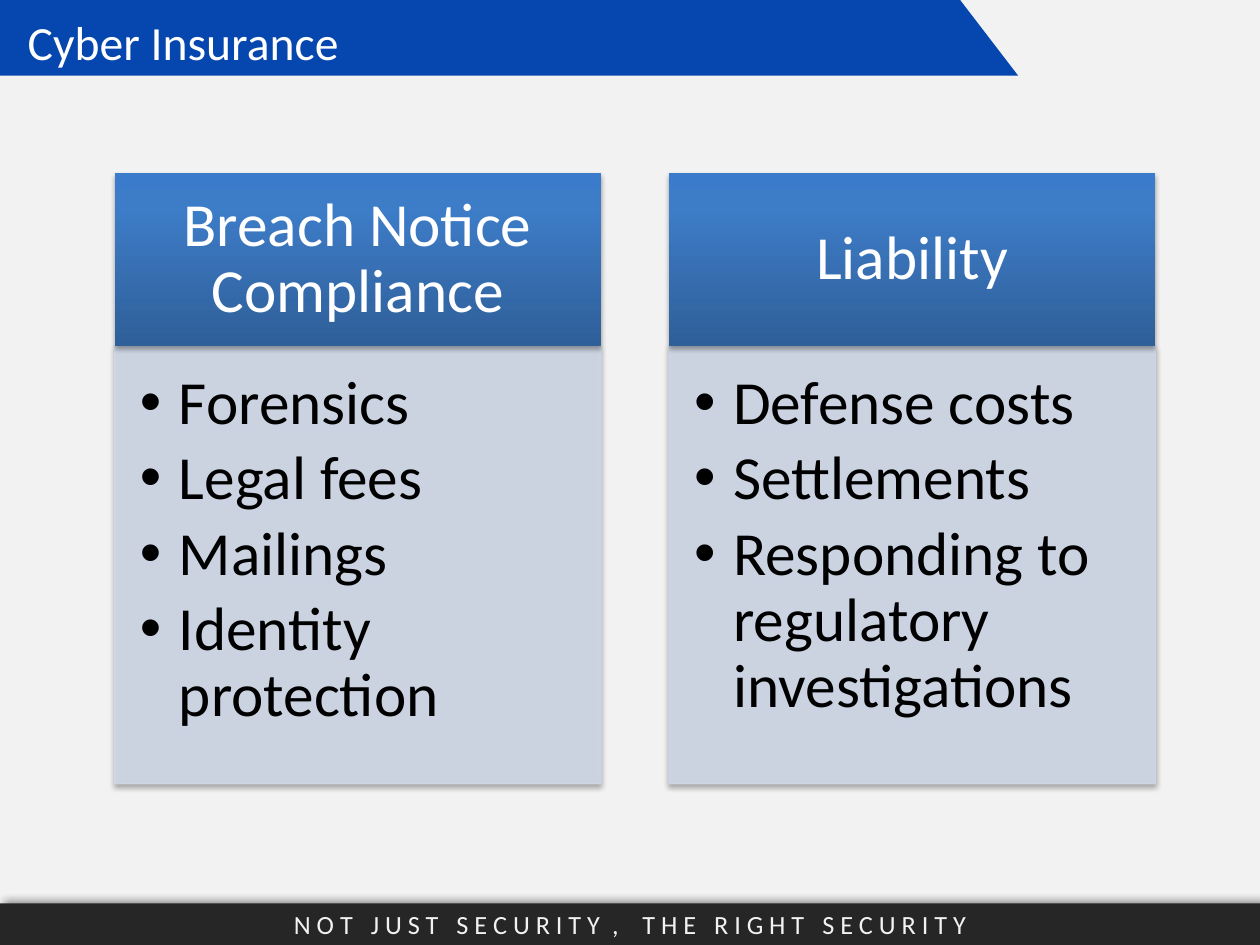
from pptx import Presentation
from pptx.dml.color import RGBColor
from pptx.enum.shapes import MSO_SHAPE
from pptx.enum.text import MSO_ANCHOR, MSO_AUTO_SIZE, PP_ALIGN
from pptx.oxml import parse_xml
from pptx.oxml.ns import nsdecls, qn
from pptx.util import Inches, Pt

FONT = "Calibri"
PALE_GRAY = RGBColor(0xF2, 0xF2, 0xF2)
CHARCOAL = RGBColor(0x26, 0x26, 0x26)
RIBBON_BLUE = RGBColor(0x05, 0x46, 0xAF)
PANEL_BLUE = RGBColor(0xD0, 0xD8, 0xE8)
WHITE = RGBColor(0xFF, 0xFF, 0xFF)
BLACK = RGBColor(0x00, 0x00, 0x00)
HEADER_STOPS = [
    (0, RGBColor(0x2F, 0x5F, 0x99)),
    (80, RGBColor(0x3D, 0x7C, 0xC7)),
    (100, RGBColor(0x3A, 0x7C, 0xCB)),
]

COLUMN_LEFT, COLUMN_STEP, COLUMN_WIDTH = 0.91, 4.4, 3.86
HEADER_TOP, HEADER_HEIGHT, PANEL_HEIGHT = 1.37, 1.38, 3.47
COLUMNS = [
    ("Breach Notice Compliance",
     ["Forensics", "Legal fees", "Mailings", "Identity protection"]),
    ("Liability",
     ["Defense costs", "Settlements", "Responding to regulatory investigations"]),
]
# Each word of the motto with the tracking in points of the space after it
MOTTO = [("N O T", 6.8), ("J U S T", 6.8), ("S E C U R I T Y", 3.4), (",", 10.2),
         ("T H E", 6.8), ("R I G H T", 6.8), ("S E C U R I T Y", 0)]


def style_font(font, size, color):
    font.name = FONT
    font.size = Pt(size)
    font.color.rgb = color


def place(shape, left, top, width, height):
    shape.left, shape.top = Inches(left), Inches(top)
    shape.width, shape.height = Inches(width), Inches(height)


def set_insets(frame, left, top, right, bottom):
    frame.margin_left, frame.margin_top = Inches(left), Inches(top)
    frame.margin_right, frame.margin_bottom = Inches(right), Inches(bottom)


def add_shadow(shape, opacity, blur, distance, angle):
    shape.shadow.inherit = False
    effects = shape._element.spPr.find(qn("a:effectLst"))
    effects.append(parse_xml(
        f'<a:outerShdw {nsdecls("a")} blurRad="{Pt(blur)}" dist="{Pt(distance)}" '
        f'dir="{angle * 60000}" algn="ctr" rotWithShape="0"><a:srgbClr val="000000">'
        f'<a:alpha val="{opacity * 1000}"/></a:srgbClr></a:outerShdw>'))


def set_opacity(shape, percent):
    """Apply one opacity to the solid fill and the line."""
    for color in shape._element.spPr.iter(qn("a:srgbClr")):
        color.append(parse_xml(f'<a:alpha {nsdecls("a")} val="{percent * 1000}"/>'))


def fill_gradient(shape, stops):
    """Fill from the bottom edge upwards."""
    shape.fill.gradient()
    gradient = shape._element.spPr.find(qn("a:gradFill"))
    stop_list = gradient.find(qn("a:gsLst"))
    for stop in list(stop_list):
        stop_list.remove(stop)
    for position, color in stops:
        stop_list.append(parse_xml(
            f'<a:gs {nsdecls("a")} pos="{position * 1000}">'
            f'<a:srgbClr val="{color}"/></a:gs>'))
    gradient.find(qn("a:lin")).set("ang", str(270 * 60000))


def add_rectangle(page, left, top, width, height):
    box = page.shapes.add_shape(MSO_SHAPE.RECTANGLE, Inches(left), Inches(top),
                                Inches(width), Inches(height))
    box.line.fill.background()
    box.text_frame.word_wrap = True
    box.text_frame.vertical_anchor = MSO_ANCHOR.MIDDLE
    return box


def add_ribbon(page):
    builder = page.shapes.build_freeform(Inches(7.62), 0)
    corners = [(0, 0), (0, 0.6), (8.08, 0.6)]
    builder.add_line_segments([(Inches(x), Inches(y)) for x, y in corners], close=True)
    ribbon = builder.convert_to_shape()
    ribbon.fill.solid()
    ribbon.fill.fore_color.rgb = RIBBON_BLUE
    ribbon.line.fill.background()
    ribbon.shadow.inherit = False
    # Keep the ribbon behind the title
    page.shapes._spTree.insert(2, ribbon._element)


def set_title(page, text):
    title = page.shapes.title
    place(title, 0.12, 0.05, 7.4, 0.46)
    frame = title.text_frame
    frame.text = text
    frame.auto_size = MSO_AUTO_SIZE.NONE
    frame.vertical_anchor = MSO_ANCHOR.TOP
    paragraph = frame.paragraphs[0]
    paragraph.alignment = PP_ALIGN.LEFT
    style_font(paragraph.font, 27.2, WHITE)


def add_footer(page):
    bar = add_rectangle(page, 0, 7.17, 10, 0.33)
    bar.fill.solid()
    bar.fill.fore_color.rgb = CHARCOAL
    add_shadow(bar, 40, 4, 3, 315)
    paragraph = bar.text_frame.paragraphs[0]
    paragraph.alignment = PP_ALIGN.CENTER
    for word, tracking in MOTTO:
        paragraph.add_run().text = word
        if tracking:
            gap = paragraph.add_run()
            gap.text = " "
            gap.font._element.set("spc", str(round(tracking * 100)))
    for span in paragraph.runs:
        style_font(span.font, 15, PALE_GRAY)


def add_header(page, left, text):
    header = add_rectangle(page, left, HEADER_TOP, COLUMN_WIDTH, HEADER_HEIGHT)
    fill_gradient(header, HEADER_STOPS)
    add_shadow(header, 35, 3.1, 1.8, 90)
    frame = header.text_frame
    set_insets(frame, 0.27, 0.16, 0.27, 0.16)
    frame.text = text
    paragraph = frame.paragraphs[0]
    paragraph.alignment = PP_ALIGN.CENTER
    paragraph.line_spacing = 0.9
    style_font(paragraph.font, 35, WHITE)


def fill_panel(panel, left, items):
    place(panel, left, HEADER_TOP + HEADER_HEIGHT, COLUMN_WIDTH, PANEL_HEIGHT)
    panel.fill.solid()
    panel.fill.fore_color.rgb = PANEL_BLUE
    panel.line.color.rgb = PANEL_BLUE
    panel.line.width = Pt(0.75)
    set_opacity(panel, 90)
    add_shadow(panel, 35, 3.1, 1.8, 90)

    frame = panel.text_frame
    frame.text = "\n".join(items)
    frame.auto_size = MSO_AUTO_SIZE.NONE
    set_insets(frame, 0.2, 0.2, 0.27, 0.31)
    for paragraph in frame.paragraphs:
        properties = paragraph._p.get_or_add_pPr()
        properties.set("marL", str(Inches(0.31)))
        properties.set("indent", str(-Inches(0.31)))
        properties.append(parse_xml(f'<a:buChar {nsdecls("a")} char="•"/>'))
        paragraph.line_spacing = 0.9
        paragraph.space_before = Pt(0)
        paragraph.space_after = Pt(5.25)
        style_font(paragraph.font, 35, BLACK)


def main():
    deck = Presentation()
    deck.slide_width, deck.slide_height = Inches(10), Inches(7.5)
    page = deck.slides.add_slide(deck.slide_layouts.get_by_name("Two Content"))
    page.background.fill.solid()
    page.background.fill.fore_color.rgb = PALE_GRAY

    # Top ribbon, title and footer bar
    add_ribbon(page)
    set_title(page, "Cyber Insurance")
    add_footer(page)

    # Two columns, each a header above a list
    panels = list(page.placeholders)[1:]
    for index, (panel, (heading, items)) in enumerate(zip(panels, COLUMNS)):
        left = COLUMN_LEFT + index * COLUMN_STEP
        add_header(page, left, heading)
        fill_panel(panel, left, items)

    deck.save("out.pptx")


if __name__ == "__main__":
    main()
